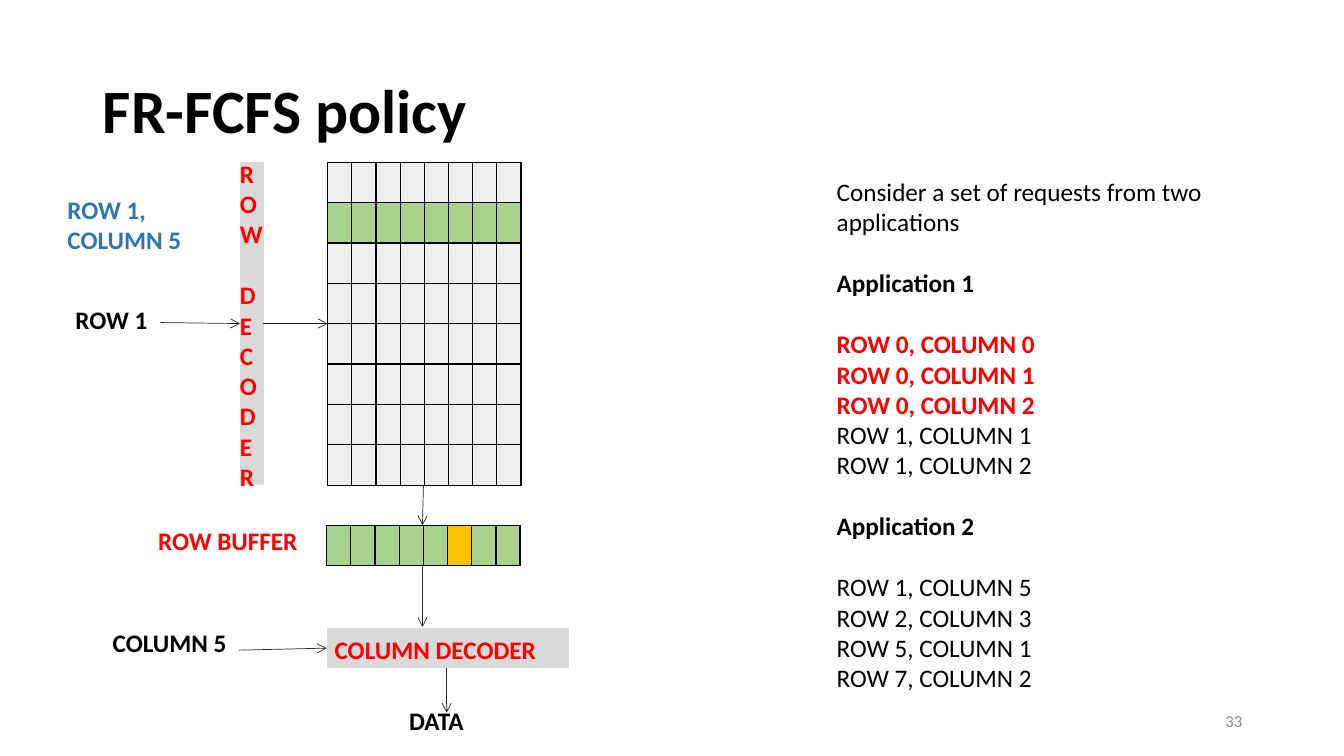
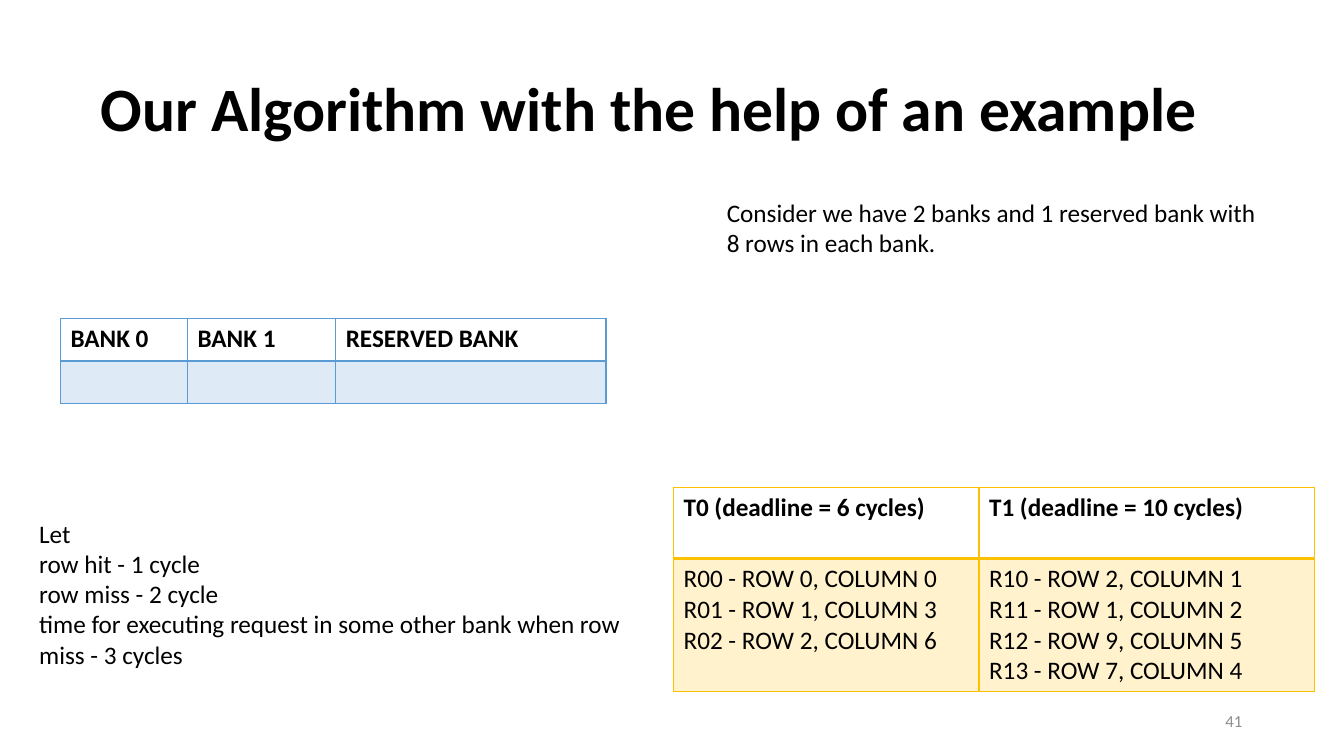
from dataclasses import dataclass

from lxml.etree import SubElement
from pptx import Presentation
from pptx.dml.color import RGBColor
from pptx.enum.shapes import MSO_CONNECTOR
from pptx.enum.text import MSO_ANCHOR, PP_ALIGN
from pptx.oxml.ns import qn
from pptx.util import Inches, Pt


@dataclass(frozen=True)
class Theme:
    font: str = "Calibri"
    title_size: int = 44
    body_size: int = 18
    number_size: int = 12
    blank_line: int = 22
    black: str = "000000"
    red: str = "FF0000"
    blue: str = "2E75B6"
    muted: str = "8C8C8C"
    arrow: str = "222A35"
    idle: str = "EFEFEF"
    active: str = "A9D18E"
    amber: str = "FFC000"
    amber_tint: str = "FFF2CC"
    decoder: str = "D9D9D9"
    bank: str = "5B9BD5"
    bank_tint: str = "DEEBF7"


THEME = Theme()
NO_STYLE = "{2D5ABB26-0587-4C30-8999-92F81FD0307C}"


def add_text(slide, box, groups, size=THEME.body_size):
    """Write groups of (lines, colour, bold), one line's height apart."""
    frame = slide.shapes.add_textbox(*map(Inches, box)).text_frame
    frame.word_wrap = True
    lines = [line for group in groups for line in group[0]]
    frame.text = "\n".join(lines)
    paragraphs = iter(frame.paragraphs)
    for group_index, (group_lines, colour, bold) in enumerate(groups):
        for line_index in range(len(group_lines)):
            paragraph = next(paragraphs)
            if group_index and line_index == 0:
                paragraph.space_before = Pt(THEME.blank_line)
            font = paragraph.runs[0].font
            font.name, font.size, font.bold = THEME.font, Pt(size), bold
            font.color.rgb = RGBColor.from_string(colour)
    return frame


def add_grid(slide, corner, widths, heights, fills, border=None, texts=None):
    """Draw a table; fills and texts are lists of rows, texts[0] is a header."""
    frame = slide.shapes.add_table(
        len(heights), len(widths), *map(Inches, (*corner, sum(widths), sum(heights))))
    for style in frame._element.iter(qn("a:tableStyleId")):
        style.text = NO_STYLE
    table = frame.table
    for column, width in zip(table.columns, widths):
        column.width = Inches(width)
    for r, height in enumerate(heights):
        table.rows[r].height = Inches(height)
        for c in range(len(widths)):
            cell = table.cell(r, c)
            if border:
                for side in ("lnL", "lnR", "lnT", "lnB"):
                    heavy = texts and r == 0 and side == "lnB"
                    line = SubElement(cell._tc.get_or_add_tcPr(), qn("a:" + side),
                                      w=str(Pt(2 if heavy else 1)))
                    SubElement(SubElement(line, qn("a:solidFill")),
                               qn("a:srgbClr"), val=border)
            else:
                cell.margin_top = cell.margin_bottom = 0
            if fills[r][c]:
                cell.fill.solid()
                cell.fill.fore_color.rgb = RGBColor.from_string(fills[r][c])
            else:
                cell.fill.background()
            if texts and texts[r][c]:
                cell.text_frame.text = texts[r][c]
                for paragraph in cell.text_frame.paragraphs:
                    font = paragraph.runs[0].font
                    font.name, font.size = THEME.font, Pt(THEME.body_size)
                    font.bold = r == 0
                    font.color.rgb = RGBColor.from_string(THEME.black)


deck = Presentation()
deck.slide_width, deck.slide_height = Inches(13.33), Inches(7.5)

# Titles and slide numbers
slides = []
for heading, left, top, number in (
    ("FR-FCFS policy", 0.92, 0.4, "33"),
    ("Our Algorithm with the help of an example", 0.9, 0.38, "41"),
):
    slide = deck.slides.add_slide(deck.slide_layouts[5])
    title = slide.shapes.title
    title.left, title.top = Inches(left), Inches(top)
    title.width, title.height = Inches(11.5), Inches(1.45)
    title.text_frame.text = heading
    title.text_frame.vertical_anchor = MSO_ANCHOR.MIDDLE
    paragraph = title.text_frame.paragraphs[0]
    paragraph.alignment, paragraph.line_spacing = PP_ALIGN.LEFT, 0.9
    font = paragraph.runs[0].font
    font.name, font.size, font.bold = THEME.font, Pt(THEME.title_size), True
    font.color.rgb = RGBColor.from_string(THEME.black)

    footer = add_text(slide, (9.42, 6.95, 3, 0.4), [([number], THEME.muted, False)],
                      THEME.number_size)
    footer.vertical_anchor = MSO_ANCHOR.MIDDLE
    footer.paragraphs[0].alignment = PP_ALIGN.RIGHT
    slides.append(slide)
policy, example = slides

# Memory array, row buffer and decoders
CELLS = 8
ROW = 0.4
cell_widths = [0.24] * CELLS
array_fills = [[THEME.idle] * CELLS for _ in range(CELLS)]
array_fills[1] = [THEME.active] * CELLS
buffer_fills = [THEME.active] * CELLS
buffer_fills[5] = THEME.amber
add_grid(policy, (3.25, 1.61), cell_widths, [ROW] * CELLS, array_fills, THEME.black)
add_grid(policy, (3.24, 5.21), cell_widths, [ROW], [buffer_fills], THEME.black)
add_grid(policy, (3.24, 6.23), [0.3] * CELLS, [ROW], [[THEME.decoder] * CELLS])
add_grid(policy, (2.38, 1.61), [0.23], [ROW] * CELLS, [[THEME.decoder]] * CELLS)

# Signal arrows
for start_x, start_y, end_x, end_y in (
    (4.2, 4.81, 4.19, 5.21),
    (4.19, 5.61, 4.19, 6.22),
    (2.61, 3.21, 3.25, 3.21),
    (1.59, 3.2, 2.38, 3.21),
    (2.37, 6.45, 3.24, 6.43),
    (4.43, 6.63, 4.43, 7.07),
):
    signal = policy.shapes.add_connector(
        MSO_CONNECTOR.STRAIGHT, *map(Inches, (start_x, start_y, end_x, end_y)))
    signal.line.width = Pt(0.5)
    signal.line.color.rgb = RGBColor.from_string(THEME.arrow)
    SubElement(signal.line._get_or_add_ln(), qn("a:tailEnd"), type="arrow")
    SubElement(signal._element.spPr, qn("a:effectLst"))

# Diagram labels
for box, lines, colour in (
    ((3.96, 6.95, 1.02, 0.4), ["DATA"], THEME.black),
    ((0.65, 2.97, 1.15, 0.4), ["ROW 1"], THEME.black),
    ((1.02, 6.17, 1.63, 0.4), ["COLUMN 5"], THEME.black),
    ((1.47, 5.16, 1.93, 0.4), ["ROW BUFFER"], THEME.red),
    ((3.22, 6.24, 2.39, 0.4), ["COLUMN DECODER"], THEME.red),
    ((0.57, 1.88, 1.72, 0.7), ["ROW 1,", "COLUMN 5"], THEME.blue),
):
    add_text(policy, box, [(lines, colour, True)])
add_text(policy, (2.28, 1.52, 0.4, 3.4),
         [(list(word), THEME.red, True) for word in ("ROW", "DECODER")])

# Requests of the two applications
requests = add_text(policy, (8.2, 1.7, 4.65, 5.2), [
    (["Consider a set of requests from two applications"], THEME.black, False),
    (["Application 1"], THEME.black, True),
    ([f"ROW 0, COLUMN {column}" for column in range(3)], THEME.red, True),
    (["ROW 1, COLUMN 1", "ROW 1, COLUMN 2"], THEME.black, False),
    (["Application 2"], THEME.black, True),
    (["ROW 1, COLUMN 5", "ROW 2, COLUMN 3", "ROW 5, COLUMN 1", "ROW 7, COLUMN 2"],
     THEME.black, False),
])
requests.paragraphs[5].space_before = Pt(0)  # row 1 follows row 0 directly

# Threads with their deadlines
add_grid(example, (6.68, 4.84), [3.03, 3.33], [0.7, 1.32],
         [[None] * 2, [THEME.amber_tint] * 2], THEME.amber, [
    ["T0 (deadline = 6 cycles)", "T1 (deadline = 10 cycles)"],
    ["R00 - ROW 0, COLUMN 0\nR01 - ROW 1, COLUMN 3\nR02 - ROW 2, COLUMN 6",
     "R10 - ROW 2, COLUMN 1\nR11 - ROW 1, COLUMN 2\n"
     "R12 - ROW 9, COLUMN 5\nR13 - ROW 7, COLUMN 4"],
])

# Banks
add_grid(example, (0.6, 3.16), [1.26, 1.47, 2.68], [0.42] * 2,
         [[None] * 3, [THEME.bank_tint] * 3], THEME.bank,
         [["BANK 0", "BANK 1", "RESERVED BANK"], [None] * 3])

# Assumptions
add_text(example, (7.11, 1.91, 5.62, 1), [
    (["Consider we have 2 banks and 1 reserved bank with 8 rows in each bank."],
     THEME.black, False)])
add_text(example, (0.29, 5.09, 6.18, 1.6), [
    (["Let", "row hit - 1 cycle", "row miss - 2 cycle",
      "time for executing request in some other bank when row miss - 3 cycles"],
     THEME.black, False)])

deck.save("out.pptx")
